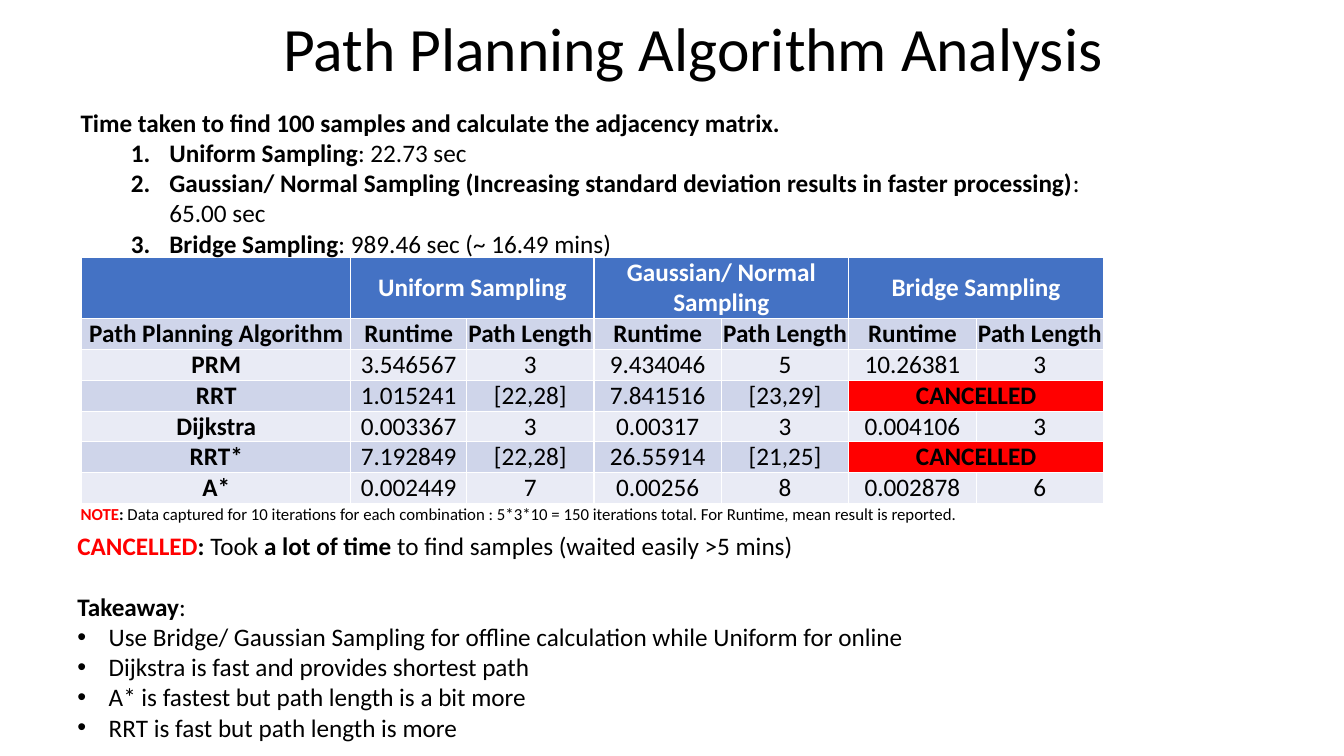
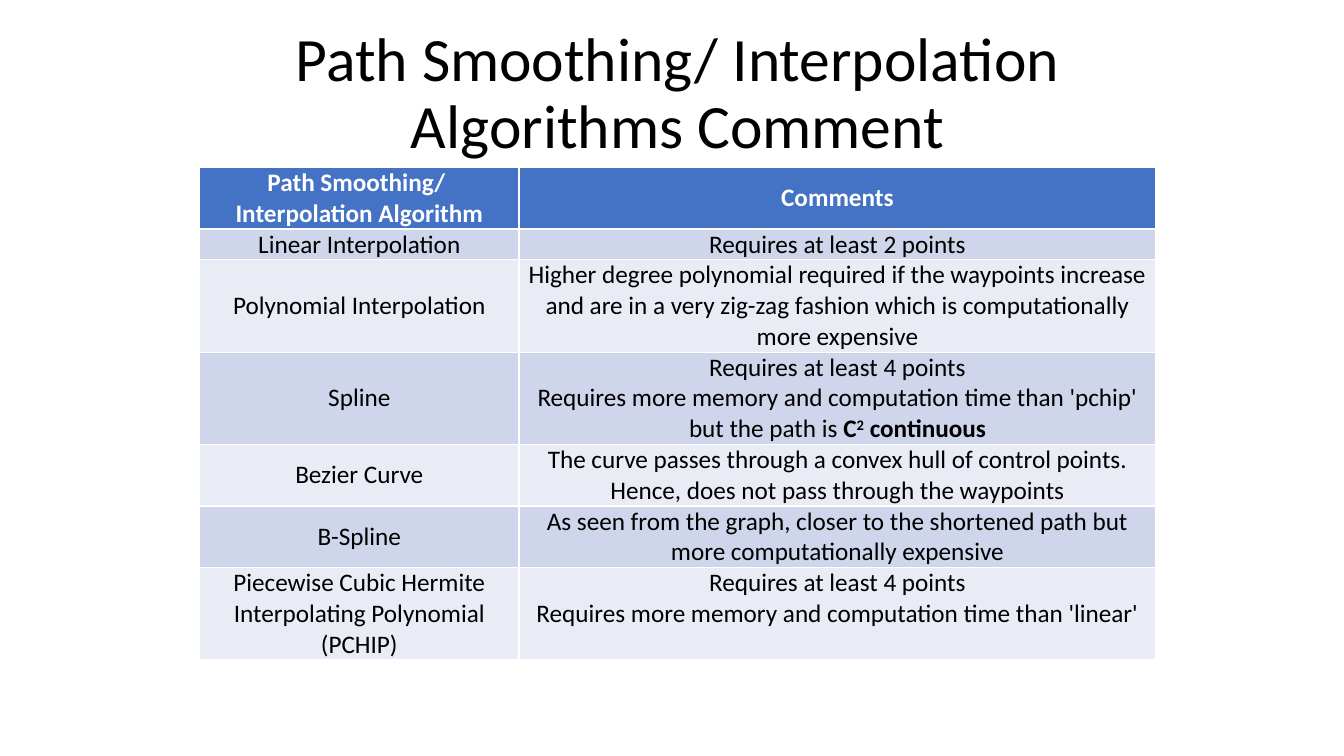
from lxml import etree
from pptx import Presentation
from pptx import util as u
from pptx.dml.color import RGBColor
from pptx.enum import text
from pptx.oxml import ns

FONT = "Calibri"
BLACK, WHITE, RED = "000000", "FFFFFF", "FF0000"
HEADER, BANDS = "4472C4", ("CFD5EA", "E9EBF5")
BOLD = {"bold": True}
ALERT = {"bold": True, "color": RED}
SQUARED = {"bold": True, "baseline": 30000}
NUMBERED = ("buAutoNum", {"type": "arabicPeriod"}, 2.24, 0.97)
BULLETED = ("buChar", {"char": "•"}, 0.79, 0.79)
CANCELLED = "CANCELLED"

RESULTS = [
    ["", "Uniform Sampling", None, "Gaussian/ Normal Sampling", None, "Bridge Sampling", None],
    ["Path Planning Algorithm"] + ["Runtime", "Path Length"] * 3,
    ["PRM", "3.546567", "3", "9.434046", "5", "10.26381", "3"],
    ["RRT", "1.015241", "[22,28]", "7.841516", "[23,29]", CANCELLED, None],
    ["Dijkstra", "0.003367", "3", "0.00317", "3", "0.004106", "3"],
    ["RRT*", "7.192849", "[22,28]", "26.55914", "[21,25]", CANCELLED, None],
    ["A*", "0.002449", "7", "0.00256", "8", "0.002878", "6"],
]

COMMENTS = [
    [["Path Smoothing/ ", "Interpolation Algorithm"], "Comments"],
    ["Linear Interpolation", "Requires at least 2 points"],
    ["Polynomial Interpolation",
     "Higher degree polynomial required if the waypoints increase and are in a very "
     "zig-zag fashion which is computationally more expensive"],
    ["Spline",
     ["Requires at least 4 points",
      ["Requires more memory and computation time than 'pchip' but the path is ",
       ("C", BOLD), ("2", SQUARED), ("\u00a0continuous", BOLD)]]],
    ["Bezier Curve",
     "The curve passes through a convex hull of control points. Hence, does not pass "
     "through the waypoints"],
    ["B-Spline",
     "As seen from the graph, closer to the shortened path but more computationally expensive"],
    ["Piecewise Cubic Hermite Interpolating Polynomial (PCHIP)",
     ["Requires at least 4 points",
      "Requires more memory and computation time than 'linear'"]],
]


def rgb(value):
    return RGBColor.from_string(value)


def cm(values):
    return [u.Cm(v) for v in values]


def style_run(r, size=18, color=BLACK, bold=False, baseline=None):
    r.font.name = FONT
    r.font.size = u.Pt(size)
    r.font.bold = bold
    r.font.color.rgb = rgb(color)
    if baseline:
        r.font._element.set("baseline", str(baseline))


def write(tf, paragraphs, align=text.PP_ALIGN.LEFT, **base):
    for i, runs in enumerate(paragraphs):
        p = tf.paragraphs[0] if i == 0 else tf.add_paragraph()
        p.alignment = align
        for run in [runs] if isinstance(runs, str) else runs:
            words, style = (run, {}) if isinstance(run, str) else run
            r = p.add_run()
            r.text = words
            style_run(r, **{**base, **style})


def add_list_marks(paragraphs, mark, level=0):
    tag, attributes, left, hanging = mark
    for p in paragraphs:
        p.level = level
        pPr = p._p.get_or_add_pPr()
        pPr.set("marL", str(u.Cm(left)))
        pPr.set("indent", str(-u.Cm(hanging)))
        if tag == "buChar":
            etree.SubElement(pPr, ns.qn("a:buFont"), typeface="Arial")
        etree.SubElement(pPr, ns.qn(f"a:{tag}"), **attributes)


def add_titled_slide(prs, title, at):
    s = prs.slides.add_slide(prs.slide_layouts[5])
    sp = s.shapes.title
    sp.left, sp.top, sp.width, sp.height = cm(at)
    tf = sp.text_frame
    tf.text = title
    tf.auto_size = text.MSO_AUTO_SIZE.NONE
    tf.vertical_anchor = text.MSO_ANCHOR.MIDDLE
    p = tf.paragraphs[0]
    p.alignment = text.PP_ALIGN.CENTER
    p.line_spacing = 0.9
    style_run(p.runs[0], size=44)
    return s


def add_text(s, at, paragraphs, size=18):
    tf = s.shapes.add_textbox(*cm(at)).text_frame
    tf.word_wrap = True
    tf.auto_size = text.MSO_AUTO_SIZE.SHAPE_TO_FIT_TEXT
    write(tf, paragraphs, size=size)
    return tf.paragraphs


def fill_cell(cell, content, fill, color, bold):
    cell.margin_left = cell.margin_right = cell.margin_top = cell.margin_bottom = 0
    cell.vertical_anchor = text.MSO_ANCHOR.MIDDLE
    cell.fill.solid()
    cell.fill.fore_color.rgb = rgb(fill)
    if content:
        paragraphs = [content] if isinstance(content, str) else content
        write(cell.text_frame, paragraphs, text.PP_ALIGN.CENTER, color=color, bold=bold)


def add_table(s, rows, left, top, height, widths, bold_rows=1, bold_columns=0):
    frame = s.shapes.add_table(len(rows), len(widths), *cm((left, top, sum(widths), height)))
    table = frame.table
    for column, width in zip(table.columns, widths):
        column.width = u.Cm(width)
    for i, row in enumerate(rows):
        table.rows[i].height = u.Cm(0.51)
        for j, content in enumerate(row):
            cell = table.cell(i, j)
            if content is None:
                table.cell(i, j - 1).merge(cell)
                continue
            cancelled = content == CANCELLED
            fill = RED if cancelled else HEADER if i == 0 else BANDS[(i - 1) % 2]
            bold = cancelled or i < bold_rows or j < bold_columns
            fill_cell(cell, content, fill, BLACK if i else WHITE, bold)
    frame.height = u.Cm(height)
    return table


def build_analysis(prs):
    s = add_titled_slide(prs, "Path Planning Algorithm Analysis", (2.87, 0.15, 29.21, 2.31))
    add_table(s, RESULTS, 2.06, 6.48, 6.1, [6.78, 2.92] + [3.21] * 5,
              bold_rows=2, bold_columns=1)
    timings = add_text(s, (1.78, 2.57, 27.2, 4.11), [
        [("Time taken to find 100 samples and calculate the adjacency matrix.", BOLD)],
        [("Uniform Sampling", BOLD), ": 22.73 sec"],
        [("Gaussian/ Normal Sampling (Increasing standard deviation results in faster "
          "processing)", BOLD), ": 65.00 sec"],
        [("Bridge Sampling", BOLD), ": 989.46 sec (~ 16.49 mins)"],
    ])
    add_list_marks(timings[1:], NUMBERED, level=1)
    takeaway = add_text(s, (1.7, 13.23, 22.25, 5.64), [
        [(CANCELLED, ALERT), (":\u00a0", BOLD), "Took ", ("a lot of time ", BOLD),
         "to find samples (waited easily >5 mins)"],
        [("Takeaway", BOLD), ": "],
        "Use Bridge/ Gaussian Sampling for offline calculation while Uniform for online",
        "Dijkstra is fast and provides shortest path",
        "A* is fastest but path length is a bit more",
        "RRT is fast but path length is more",
    ])
    takeaway[1].space_before = u.Pt(22)
    add_list_marks(takeaway[2:], BULLETED)
    add_text(s, (1.78, 12.57, 25.96, 0.76), [
        [("NOTE", ALERT), (":", BOLD),
         " Data captured for 10 iterations for each combination : 5*3*10 = 150 iterations "
         "total. For Runtime, mean result is reported."],
    ], size=12)


def build_smoothing(prs):
    s = add_titled_slide(prs, "Path Smoothing/ Interpolation Algorithms\u00a0Comment",
                         (0.97, 0.56, 32.23, 3.68))
    table = add_table(s, COMMENTS, 5.03, 4.22, 12.19, [8.05, 16.05])
    table.cell(len(COMMENTS) - 1, 1).vertical_anchor = text.MSO_ANCHOR.TOP


def main():
    prs = Presentation()
    prs.slide_width, prs.slide_height = cm((33.87, 19.05))
    build_analysis(prs)
    build_smoothing(prs)
    prs.save("out.pptx")


main()
